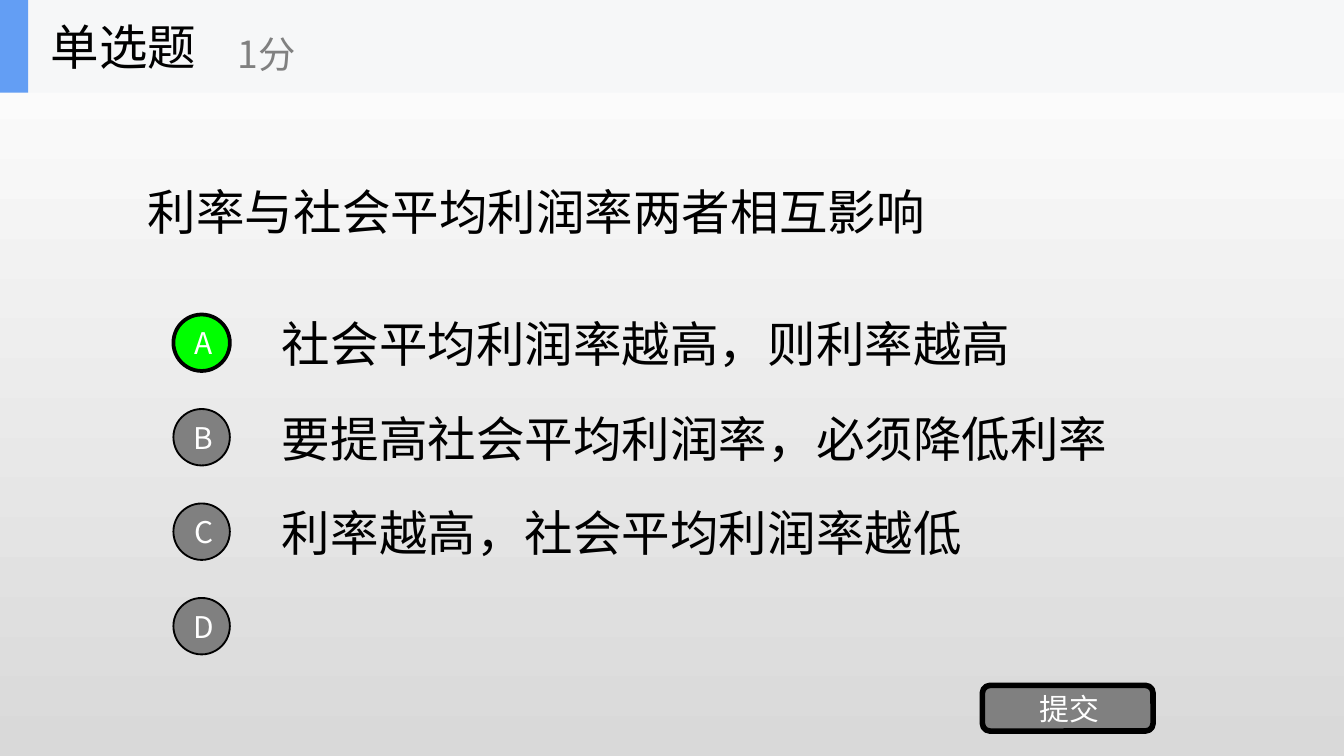
from dataclasses import dataclass

import pptx
import pptx.util
from pptx.dml.color import RGBColor
from pptx.enum.shapes import MSO_SHAPE
from pptx.enum.text import MSO_ANCHOR, MSO_AUTO_SIZE, PP_ALIGN
from pptx.oxml.xmlchemy import OxmlElement
from pptx.util import Inches


@dataclass(frozen=True)
class Theme:
    font: str = "Noto Sans CJK SC"
    text: str = "000000"
    light: str = "FFFFFF"
    grey: str = "808080"
    correct: str = "00FF00"
    header: str = "F6F7F8"
    accent: str = "639EF4"
    back_end: str = "D9D9D9"
    body_size: int = 26
    score_size: int = 20
    label_size: int = 16


THEME = Theme()
SLIDE_WIDTH = 10
SLIDE_HEIGHT = SLIDE_WIDTH * 9 / 16
OPTIONS = [
    ("A", "社会平均利润率越高，则利率越高"),
    ("B", "要提高社会平均利润率，必须降低利率"),
    ("C", "利率越高，社会平均利润率越低"),
    ("D", ""),
]
CORRECT = "A"
FIRST_ROW, ROW_PITCH = 2.34, SLIDE_HEIGHT / 8


def rgb(color):
    return RGBColor.from_string(color)


def inches(box):
    return [Inches(v) for v in box]


def write(sp, text, size, color, align=PP_ALIGN.LEFT, wrap=True):
    tf = sp.text_frame
    tf.word_wrap = wrap
    tf.auto_size = MSO_AUTO_SIZE.NONE
    tf.vertical_anchor = MSO_ANCHOR.MIDDLE
    p = tf.paragraphs[0]
    p.alignment = align
    r = p.add_run()
    r.text = text
    r.font.size = pptx.util.Pt(size)
    r.font.color.rgb = rgb(color)
    r.font.name = THEME.font
    ea = OxmlElement("a:ea")
    ea.set("typeface", THEME.font)
    r.font._element.append(ea)


def add_text(shapes, box, text, size=THEME.body_size, color=THEME.text, wrap=True):
    sp = shapes.add_textbox(*inches(box))
    write(sp, text, size, color, wrap=wrap)


def add_block(shapes, kind, box, fill, line_width=0):
    sp = shapes.add_shape(kind, *inches(box))
    sp.shadow.inherit = False
    sp.fill.solid()
    sp.fill.fore_color.rgb = rgb(fill)
    if line_width:
        sp.line.color.rgb = rgb(THEME.text)
        sp.line.width = pptx.util.Pt(line_width)
    else:
        sp.line.fill.background()
    return sp


def add_button(shapes, kind, box, label, fill, line_width):
    sp = add_block(shapes, kind, box, fill, line_width)
    tf = sp.text_frame
    tf.margin_left = Inches(0.03)
    tf.margin_right = tf.margin_top = tf.margin_bottom = 0
    write(sp, label, THEME.label_size, THEME.light, PP_ALIGN.CENTER)


def set_background(s):
    fill = s.background.fill
    fill.gradient()
    fill.gradient_angle = 270
    for stop, color, position in zip(fill.gradient_stops, (THEME.light, THEME.back_end), (0, 1)):
        stop.color.rgb = rgb(color)
        stop.position = position


def add_question(s, text):
    sp = s.shapes.title
    sp.left, sp.top, sp.width, sp.height = inches((1, 0.69, 8, 1.76))
    write(sp, text, THEME.body_size, THEME.text)


def add_options(s):
    for i, (letter, text) in enumerate(OPTIONS):
        top = FIRST_ROW + i * ROW_PITCH
        if text:
            add_text(s.shapes, (2, top - 0.05, 7, 0.53), text)
        fill, width = (THEME.correct, 2) if letter == CORRECT else (THEME.grey, 1)
        add_button(s.shapes, MSO_SHAPE.OVAL, (1.29, top, 0.42, 0.42), letter, fill, width)


def add_header(s):
    shapes = s.shapes.add_group_shape().shapes
    add_block(shapes, MSO_SHAPE.RECTANGLE, (0, 0, SLIDE_WIDTH, 0.69), THEME.header)
    add_block(shapes, MSO_SHAPE.RECTANGLE, (0, 0, 0.21, 0.69), THEME.accent)
    add_text(shapes, (0.28, 0, 2.08, 0.69), "单选题", wrap=False)
    add_text(shapes, (1.67, 0.12, 2.5, 0.56), "1分", THEME.score_size, THEME.grey, wrap=False)


def main():
    prs = pptx.Presentation()
    prs.slide_width, prs.slide_height = inches((SLIDE_WIDTH, SLIDE_HEIGHT))
    s = prs.slides.add_slide(prs.slide_layouts.get_by_name("Title Only"))
    set_background(s)
    add_question(s, "利率与社会平均利润率两者相互影响")
    add_options(s)
    add_button(s.shapes, MSO_SHAPE.ROUNDED_RECTANGLE, (7.31, 5.1, 1.27, 0.34),
               "提交", THEME.grey, 3)
    add_header(s)
    prs.save("out.pptx")


if __name__ == "__main__":
    main()
